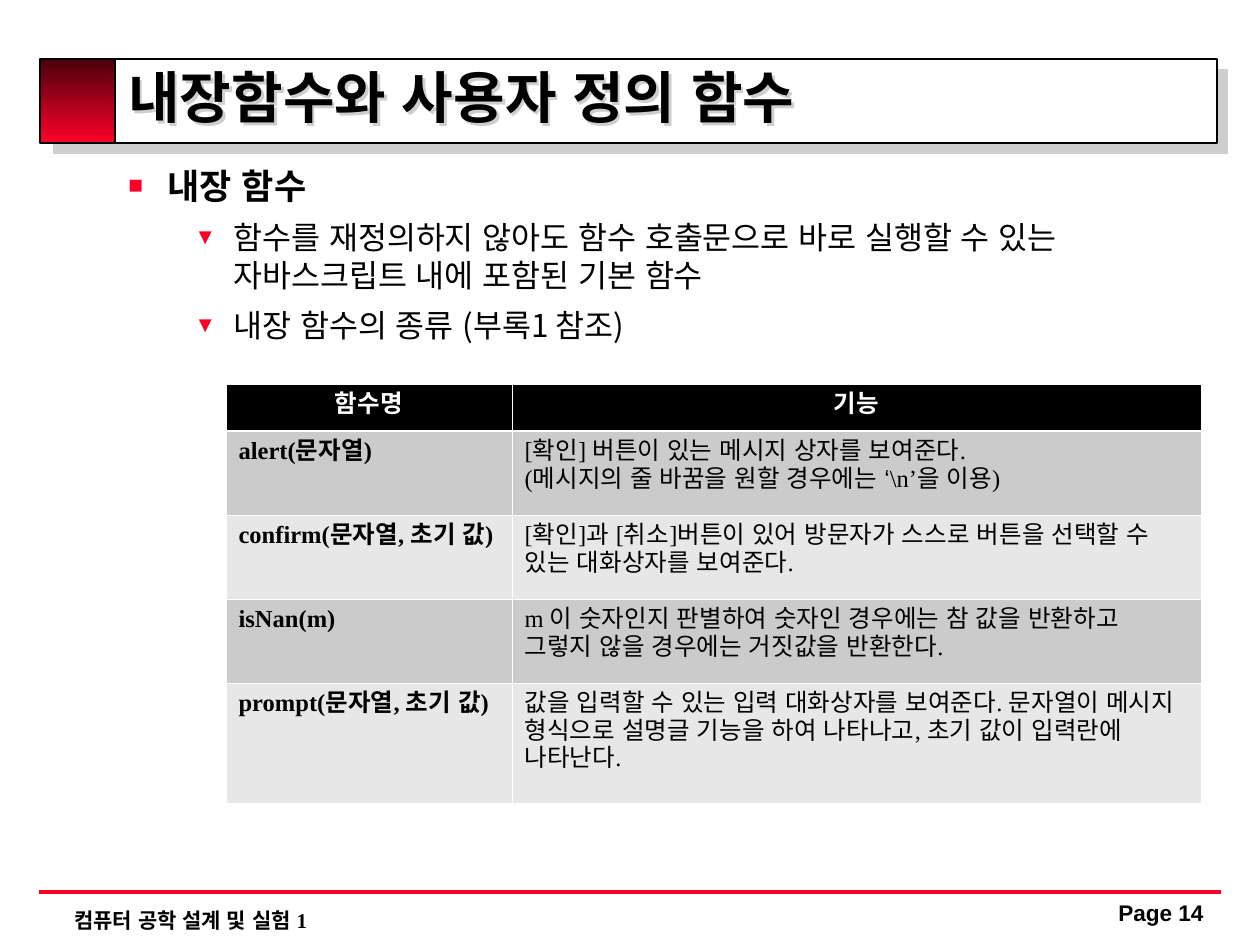
from lxml import etree
from pptx import Presentation
from pptx import util as u
from pptx.dml.color import RGBColor
from pptx.enum import shapes, text
from pptx.oxml.ns import qn

BLACK = RGBColor(0x00, 0x00, 0x00)
WHITE = RGBColor(0xFF, 0xFF, 0xFF)
RED = RGBColor(0xFC, 0x01, 0x28)
MAROON = RGBColor(0x4B, 0x00, 0x0C)
SHADE = RGBColor(0xCE, 0xCE, 0xCE)
DARK_ROW = RGBColor(0xCB, 0xCB, 0xCB)
LIGHT_ROW = RGBColor(0xE7, 0xE7, 0xE7)
SERIF, SANS, KOREAN = "Times New Roman", "Arial", "Noto Sans CJK KR"

TITLE = "내장함수와 사용자 정의 함수"
COURSE = "컴퓨터 공학 설계 및 실험 1"
PAGE = "Page 14"
OUTLINE = [
    (0, "내장 함수"),
    (1, "함수를 재정의하지 않아도 함수 호출문으로 바로 실행할 수 있는 자바스크립트 내에 포함된 기본 함수"),
    (1, "내장 함수의 종류 (부록1 참조)"),
]
LEVELS = [
    dict(mark="■", indent=39, size=20, bold=True, before=7.5),
    dict(mark="▼", indent=105, size=18, bold=False, before=6.8),
]
HANGING = 39
FUNCTIONS = [
    ("함수명", "기능"),
    ("alert(문자열)", "[확인] 버튼이 있는 메시지 상자를 보여준다. \v(메시지의 줄 바꿈을 원할 경우에는 ‘\\n’을 이용)"),
    ("confirm(문자열, 초기 값)", "[확인]과 [취소]버튼이 있어 방문자가 스스로 버튼을 선택할 수 있는 대화상자를 보여준다."),
    ("isNan(m)", "m 이 숫자인지 판별하여 숫자인 경우에는 참 값을 반환하고 그렇지 않을 경우에는 거짓값을 반환한다."),
    ("prompt(문자열, 초기 값)", "값을 입력할 수 있는 입력 대화상자를 보여준다. 문자열이 메시지 형식으로 설명글 기능을 하여 나타나고, 초기 값이 입력란에 나타난다."),
]
COLUMN_WIDTHS = [286, 689]
ROW_HEIGHTS = [47, 84, 84, 84, 120]


def px(n):
    return round(n * 914400 / 126)


def add(parent, tag, **attributes):
    return etree.SubElement(parent, qn(tag), attributes)


def add_shadow(shape, distance):
    shape.shadow.inherit = False
    effects = shape._element.spPr.find(qn("a:effectLst"))
    shadow = add(effects, "a:outerShdw", dist=str(u.Pt(distance)), dir="2700000", algn="tl", rotWithShape="0")
    add(shadow, "a:srgbClr", val=str(SHADE))


def style(paragraph, size, font, bold, color=BLACK):
    for run in paragraph.runs:
        run.font.size = u.Pt(size)
        run.font.bold = bold
        run.font.name = font
        run.font.color.rgb = color
        add(run._r.rPr, "a:ea", typeface=SANS)


def add_text(slide, box, words, size, font, spacing=None, anchor=text.MSO_ANCHOR.TOP):
    label = slide.shapes.add_textbox(*map(px, box))
    frame = label.text_frame
    frame.word_wrap = True
    frame.vertical_anchor = anchor
    frame.text = words
    paragraph = frame.paragraphs[0]
    if spacing:
        paragraph.line_spacing = spacing
    style(paragraph, size, font, True)
    return label


def add_rect(slide, box):
    rect = slide.shapes.add_shape(shapes.MSO_SHAPE.RECTANGLE, *map(px, box))
    rect.shadow.inherit = False
    rect.line.color.rgb = BLACK
    rect.line.width = u.Pt(1)
    return rect


def add_frame(slide):
    banner = add_rect(slide, (43, 59, 1174, 84))
    banner.fill.solid()
    banner.fill.fore_color.rgb = WHITE
    add_shadow(banner, 8.5)

    block = add_rect(slide, (40, 59, 75, 84))
    block.fill.gradient()
    block.fill.gradient_angle = 270
    for stop, color in zip(block.fill.gradient_stops, (MAROON, RED)):
        stop.color.rgb = color

    rule = slide.shapes.add_connector(shapes.MSO_CONNECTOR.STRAIGHT, px(39), px(892), px(1221), px(892))
    rule.line.color.rgb = RED
    rule.line.width = u.Pt(2.25)
    add(rule._element.spPr, "a:effectLst")


def add_outline(slide):
    frame = slide.shapes.add_textbox(*map(px, (116, 158, 1105, 669))).text_frame
    frame.word_wrap = True
    for index, (depth, words) in enumerate(OUTLINE):
        level = LEVELS[depth]
        paragraph = frame.add_paragraph() if index else frame.paragraphs[0]
        paragraph.text = words
        paragraph.level = depth
        if index:
            paragraph.space_before = u.Pt(level["before"])
        properties = paragraph._p.get_or_add_pPr()
        properties.set("marL", str(px(level["indent"])))
        properties.set("indent", str(-px(HANGING)))
        add(add(properties, "a:buClr"), "a:srgbClr", val=str(RED))
        add(properties, "a:buSzPct", val="70000")
        add(properties, "a:buFont", typeface=SANS)
        add(properties, "a:buChar", char=level["mark"])
        style(paragraph, level["size"], KOREAN, level["bold"])


def add_borders(cell, row):
    thick_side = {0: "B", 1: "T"}.get(row)
    for side in "LRTB":
        width = 1.47 if side == thick_side else 0.45
        edge = add(cell._tc.get_or_add_tcPr(), f"a:ln{side}", w=str(u.Pt(width)))
        add(add(edge, "a:solidFill"), "a:srgbClr", val=str(WHITE))


def add_functions(slide):
    box = (226, 384, sum(COLUMN_WIDTHS), sum(ROW_HEIGHTS))
    table = slide.shapes.add_table(len(FUNCTIONS), len(COLUMN_WIDTHS), *map(px, box)).table
    for column, width in zip(table.columns, COLUMN_WIDTHS):
        column.width = px(width)
    for r, entries in enumerate(FUNCTIONS):
        table.rows[r].height = px(ROW_HEIGHTS[r])
        header = r == 0
        for c, words in enumerate(entries):
            cell = table.cell(r, c)
            cell.text_frame.text = words
            paragraph = cell.text_frame.paragraphs[0]
            if header:
                paragraph.alignment = text.PP_ALIGN.CENTER
            style(paragraph, 14, SERIF, header or c == 0, WHITE if header else BLACK)
            add_borders(cell, r)
            cell.fill.solid()
            cell.fill.fore_color.rgb = BLACK if header else (LIGHT_ROW, DARK_ROW)[r % 2]


def main():
    deck = Presentation()
    deck.slide_width, deck.slide_height = px(1260), px(945)
    slide = deck.slides.add_slide(deck.slide_layouts[6])
    add_frame(slide)
    add_text(slide, (62, 901, 842, 38), COURSE, 12, SERIF)
    title = add_text(slide, (116, 55, 1105, 95), TITLE, 32, SERIF, 0.8, text.MSO_ANCHOR.MIDDLE)
    add_shadow(title, 2)
    add_outline(slide)
    add_functions(slide)
    page = add_text(slide, (1093, 896, 136, 42), PAGE, 12.9, SANS, 0.9)
    page.text_frame.paragraphs[0].alignment = text.PP_ALIGN.CENTER
    deck.save("out.pptx")


if __name__ == "__main__":
    main()
